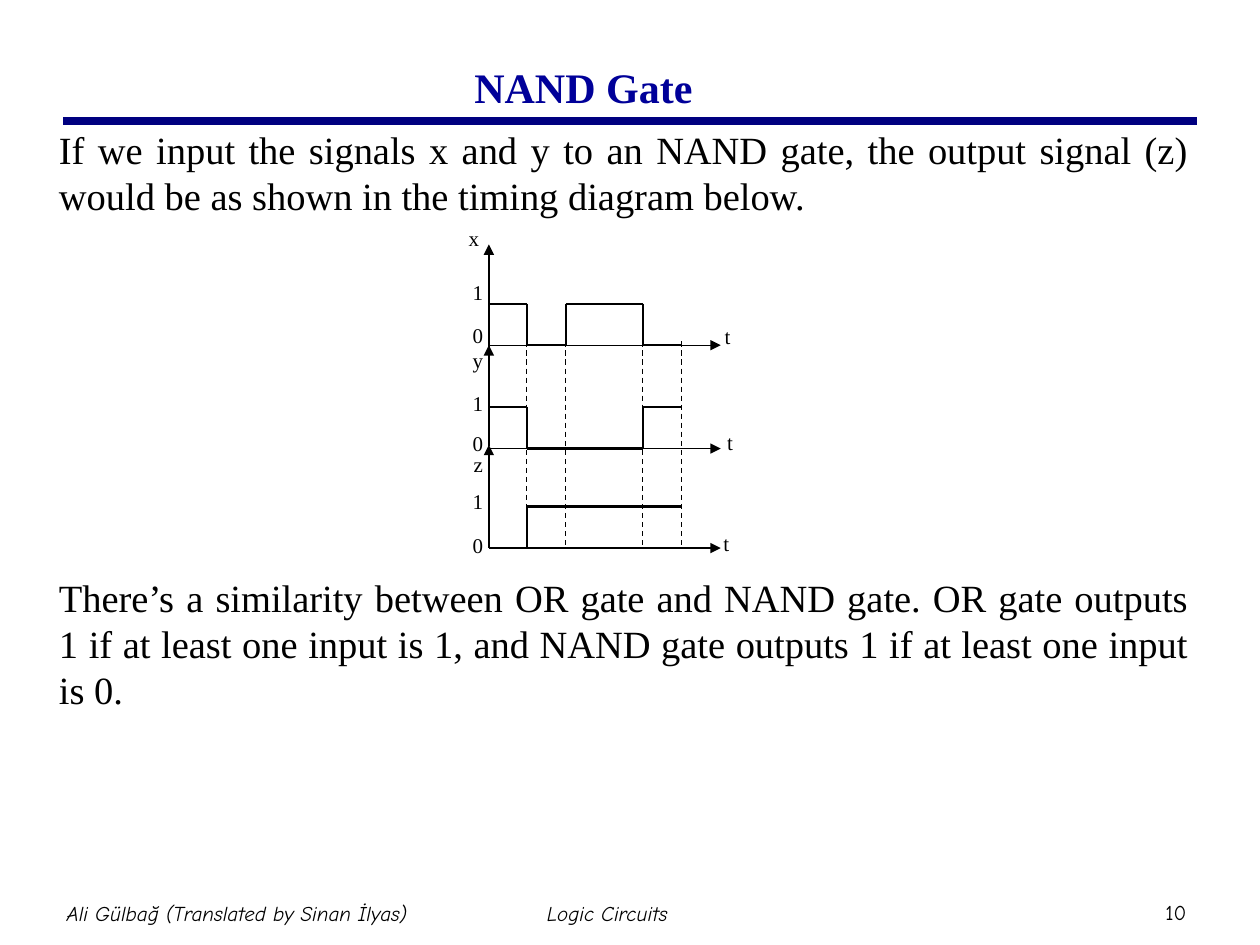
from itertools import pairwise

from lxml import etree
from pptx import Presentation
from pptx.dml.color import RGBColor
from pptx.enum.dml import MSO_LINE
from pptx.enum.shapes import MSO_CONNECTOR
from pptx.enum.text import MSO_ANCHOR, PP_ALIGN
from pptx.oxml.ns import qn
from pptx.util import Inches, Pt

STRAIGHT = MSO_CONNECTOR.STRAIGHT
DASH = MSO_LINE.DASH
TOP, MIDDLE = MSO_ANCHOR.TOP, MSO_ANCHOR.MIDDLE
LEFT, CENTER, JUSTIFY = PP_ALIGN.LEFT, PP_ALIGN.CENTER, PP_ALIGN.JUSTIFY


def color(hex_value):
    return RGBColor.from_string(hex_value)


class SlideBuilder:
    serif = "Times New Roman"
    footer_font = "Comic Neue"
    black, navy, title_blue = "000000", "000080", "000099"

    def __init__(self, slide):
        self.slide = slide

    def text(self, content, left, top, width, height, *, size=12, font=serif,
             fill=black, bold=False, italic=False, align=LEFT, anchor=TOP,
             inset=(0.1, 0.05), spacing=None, wrap=True):
        box = self.slide.shapes.add_textbox(
            Inches(left), Inches(top), Inches(width), Inches(height))
        frame = box.text_frame
        frame.word_wrap = wrap
        frame.vertical_anchor = anchor
        frame.margin_left = frame.margin_right = Inches(inset[0])
        frame.margin_top = frame.margin_bottom = Inches(inset[1])
        paragraph = frame.paragraphs[0]
        paragraph.alignment = align
        if spacing:
            paragraph.line_spacing = Pt(spacing)
        run = paragraph.add_run()
        run.text = content
        run.font.name, run.font.size = font, Pt(size)
        run.font.bold, run.font.italic = bold, italic
        run.font.color.rgb = color(fill)

    def label(self, content, left, top):
        self.text(content, left, top, 0.15, 0.33, inset=(0, 0), wrap=False)

    def footer(self, content, left, top, width, height, **style):
        self.text(content, left, top, width, height, font=self.footer_font,
                  anchor=MIDDLE, inset=(0.05, 0.05), **style)

    def line(self, start, end, *, width=0.75, fill=black, dash=None, arrow=False):
        connector = self.slide.shapes.add_connector(
            STRAIGHT, *(Inches(value) for value in (*start, *end)))
        connector.line.width = Pt(width)
        connector.line.color.rgb = color(fill)
        if dash:
            connector.line.dash_style = dash
        properties = connector._element.spPr
        if arrow:
            etree.SubElement(properties.find(qn("a:ln")), qn("a:tailEnd"), type="triangle")
        etree.SubElement(properties, qn("a:effectLst"))

    def wave(self, bits, times, low, step):
        levels = [low - step * bit for bit in bits]
        for (start, end), level in zip(pairwise(times), levels):
            self.line((start, level), (end, level), width=1.25)
        for time, (before, after) in zip(times[1:], pairwise(levels)):
            if before != after:
                self.line((time, before), (time, after), width=1.25)


def main():
    deck = Presentation()
    deck.slide_width, deck.slide_height = Inches(10), Inches(7.5)
    page = SlideBuilder(deck.slides.add_slide(deck.slide_layouts[6]))

    # Title and rule
    page.line((0.5, 0.96), (9.5, 0.96), width=4.5, fill=page.navy)
    page.text("NAND Gate", 0.38, 0.26, 8.5, 0.86, size=24, bold=True,
              fill=page.title_blue, align=CENTER, anchor=MIDDLE)

    # Explanation above and below the diagram
    explanation = dict(size=22, align=JUSTIFY, spacing=26.3)
    page.text("If we input the signals x and y to an NAND gate, the output signal (z) "
              "would be as shown in the timing diagram below.",
              0.37, 0.95, 9.16, 0.85, **explanation)
    page.text("There’s a similarity between OR gate and NAND gate. OR gate outputs 1 "
              "if at least one input is 1, and NAND gate outputs 1 if at least one "
              "input is 0.", 0.37, 4.51, 9.16, 1.2, **explanation)

    # Timing diagram
    origin, axis_end, pulse = 3.88, 5.72, 0.33
    times = [origin, 4.18, 4.49, 5.1, 5.41]
    for time in times[1:]:
        page.line((time, 2.71), (time, 4.35), dash=DASH)

    # Name, bits, low level, vertical axis (from, to), label places
    signals = [
        ("x", (1, 0, 1, 0), 2.74, (3.54, 1.94), (3.72, 1.79), 2.22, 2.56, (5.75, 2.57)),
        ("y", (1, 0, 0, 1), 3.56, (3.06, 2.74), (3.75, 2.76), 3.1, 3.42, (5.77, 3.41)),
        ("z", (0, 1, 1, 1), 4.35, (4.35, 3.53), (3.76, 3.58), 3.88, 4.23, (5.74, 4.21)),
    ]
    for name, bits, low, (bottom, tip), name_at, one_top, zero_top, time_at in signals:
        page.line((origin, bottom), (origin, tip), arrow=True)
        page.line((origin, low), (axis_end, low), arrow=True)
        page.wave(bits, times, low, pulse)
        page.label(name, *name_at)
        page.label("1", 3.75, one_top)
        page.label("0", 3.75, zero_top)
        page.label("t", *time_at)

    # Footer
    page.footer("Ali Gülbağ (Translated by Sinan İlyas)", 0.09, 7, 3.58, 0.5,
                italic=True, align=CENTER)
    page.footer("Logic Circuits", 3.03, 7, 3.58, 0.5, italic=True, align=CENTER)
    page.footer("10", 9.2, 7.09, 0.37, 0.3)

    deck.save("out.pptx")


if __name__ == "__main__":
    main()
